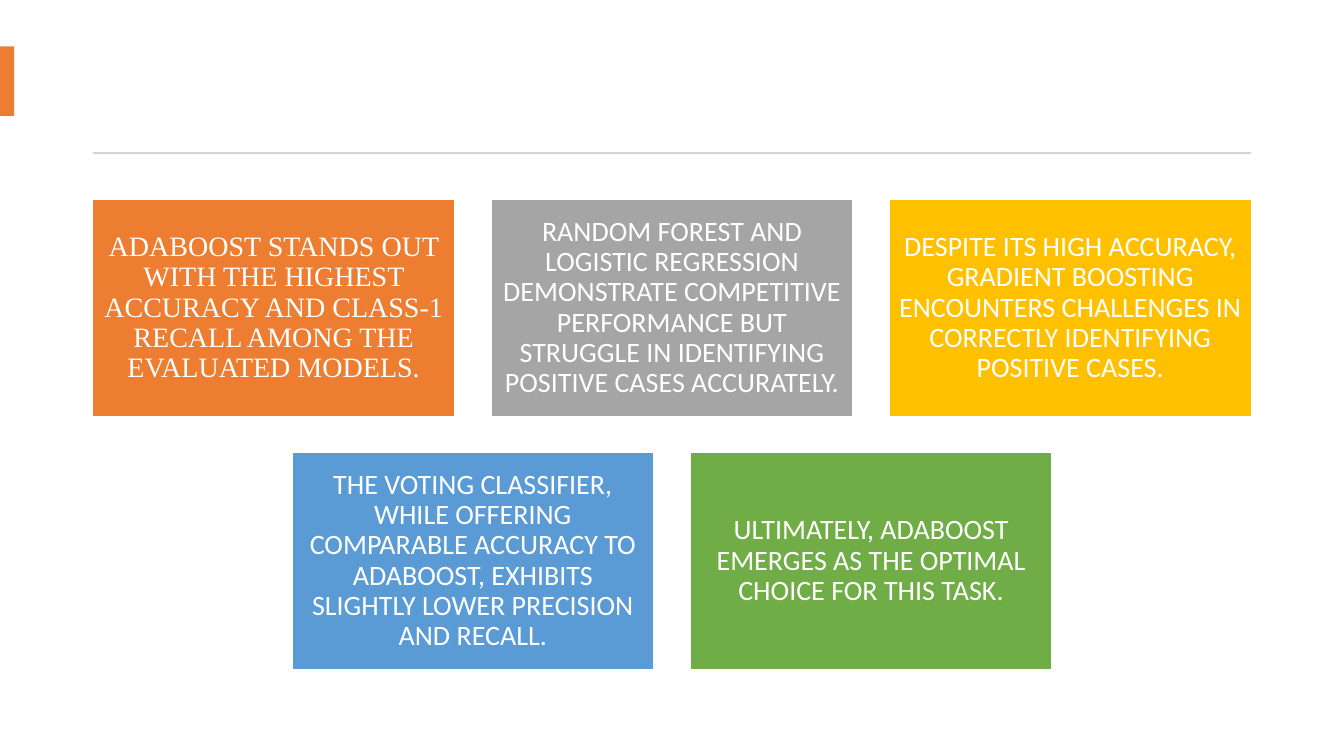
from pptx import Presentation
from pptx.dml.color import RGBColor
from pptx.enum.shapes import MSO_SHAPE as Preset
from pptx.enum.text import MSO_ANCHOR as Anchor, PP_ALIGN as Align
from pptx.util import Inches, Pt

COLORS = {
    "orange": "ED7D31",
    "gray": "A5A5A5",
    "gold": "FFC000",
    "blue": "5B9BD5",
    "green": "70AD47",
    "rule": "D5D5D5",
    "white": "FFFFFF",
}
SLIDE_WIDTH, SLIDE_HEIGHT = 13.33, 7.5
CARD_WIDTH, CARD_HEIGHT, CARD_GAP = 3.59, 2.15, 0.36
CARDS_TOP = 1.98
CARD_INSET = 0.08

CARD_ROWS = [
    [
        ("orange", "Times New Roman",
         "ADABOOST STANDS OUT WITH THE HIGHEST ACCURACY AND CLASS-1 RECALL "
         "AMONG THE EVALUATED MODELS."),
        ("gray", "Calibri",
         "RANDOM FOREST AND LOGISTIC REGRESSION DEMONSTRATE COMPETITIVE "
         "PERFORMANCE BUT STRUGGLE IN IDENTIFYING POSITIVE CASES ACCURATELY."),
        ("gold", "Calibri",
         "DESPITE ITS HIGH ACCURACY, GRADIENT BOOSTING ENCOUNTERS CHALLENGES "
         "IN CORRECTLY IDENTIFYING POSITIVE CASES."),
    ],
    [
        ("blue", "Calibri",
         "THE VOTING CLASSIFIER, WHILE OFFERING COMPARABLE ACCURACY TO "
         "ADABOOST, EXHIBITS SLIGHTLY LOWER PRECISION AND RECALL."),
        ("green", "Calibri",
         "ULTIMATELY, ADABOOST EMERGES AS THE OPTIMAL CHOICE FOR THIS TASK."),
    ],
]


def rgb(name):
    """Return the palette colour with the given name."""
    return RGBColor.from_string(COLORS[name])


def add_rectangle(slide, left, top, width, height, fill, line=None):
    """Add a flat rectangle, outlined only when a line colour is given."""
    shape = slide.shapes.add_shape(
        Preset.RECTANGLE, Inches(left), Inches(top), Inches(width), Inches(height))
    shape.shadow.inherit = False
    shape.fill.solid()
    shape.fill.fore_color.rgb = rgb(fill)
    if line:
        shape.line.color.rgb = rgb(line)
        shape.line.width = Pt(1)
    else:
        shape.line.fill.background()
    return shape


def write_text(shape, text, font="Calibri", size=20, color="white",
               align=Align.CENTER, anchor=Anchor.MIDDLE, spacing=0.9):
    """Write one formatted paragraph into a shape."""
    frame = shape.text_frame
    frame.word_wrap = True
    frame.vertical_anchor = anchor
    frame.margin_left = frame.margin_right = Inches(CARD_INSET)
    frame.margin_top = frame.margin_bottom = Inches(CARD_INSET)
    paragraph = frame.paragraphs[0]
    paragraph.text = text
    paragraph.alignment = align
    paragraph.line_spacing = spacing
    paragraph.font.name = font
    paragraph.font.size = Pt(size)
    paragraph.font.color.rgb = rgb(color)


def add_card_row(slide, cards, top):
    """Add a row of equally spaced cards centred on the slide."""
    step = CARD_WIDTH + CARD_GAP
    first_left = (SLIDE_WIDTH - len(cards) * step + CARD_GAP) / 2
    for column, (fill, font, text) in enumerate(cards):
        card = add_rectangle(slide, first_left + column * step, top,
                             CARD_WIDTH, CARD_HEIGHT, fill, line="white")
        write_text(card, text, font=font)


def main():
    """Build the slide of model conclusions and save it."""
    presentation = Presentation()
    presentation.slide_width = Inches(SLIDE_WIDTH)
    presentation.slide_height = Inches(SLIDE_HEIGHT)
    slide = presentation.slides.add_slide(presentation.slide_layouts[6])

    add_rectangle(slide, 0, 0.46, 0.14, 0.69, "orange")
    add_rectangle(slide, 0.92, 1.51, 11.49, 0.02, "rule")
    for row, cards in enumerate(CARD_ROWS):
        add_card_row(slide, cards, CARDS_TOP + row * (CARD_HEIGHT + CARD_GAP))

    presentation.save("out.pptx")


if __name__ == "__main__":
    main()
